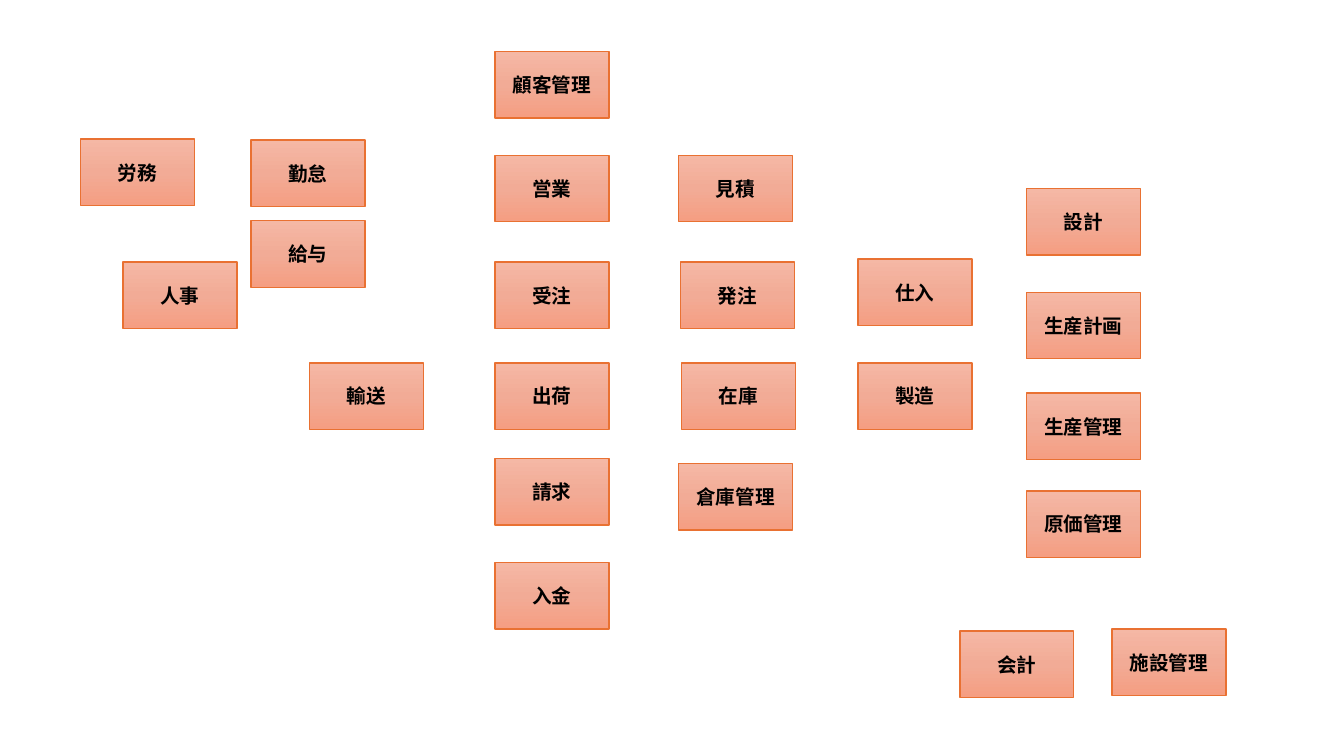
from copy import deepcopy

from lxml.etree import SubElement
from pptx import Presentation
from pptx.dml.color import RGBColor
from pptx.enum.shapes import MSO_SHAPE
from pptx.enum.text import MSO_ANCHOR, PP_ALIGN
from pptx.oxml.ns import qn
from pptx.util import Pt

SCALE = 9144
WIDE, HIGH = 113, 66
FONT = "Noto Sans CJK JP"
SHADES = ("F5B8A5", "F2AB96", "F59E82")

REGIONS = [
    (80, 138, [("労務", 0, 0), ("勤怠", 169, 1), ("給与", 169, 81), ("人事", 42, 122)]),
    (307, 360, [("輸送", 0, 0)]),
    (491, 51, [("顧客管理", 0, 0), ("営業", 0, 103), ("受注", 0, 209),
               ("出荷", 0, 309), ("請求", 0, 404), ("入金", 0, 507)]),
    (673, 154, [("見積", 0, 0), ("発注", 2, 106), ("在庫", 3, 206), ("倉庫管理", 0, 306)]),
    (851, 257, [("仕入", 0, 0), ("製造", 0, 103)]),
    (1018, 187, [("設計", 0, 0), ("生産計画", 0, 103), ("生産管理", 0, 203), ("原価管理", 0, 300)]),
    (952, 624, [("会計", 0, 2), ("施設管理", 151, 0)]),
]


def px(n):
    """Turn px into EMU."""
    return n * SCALE


def color(code):
    """Turn a hex string into a colour."""
    return RGBColor.from_string(code)


def shade(shape):
    """Fill a shape with the three-stop gradient from top to bottom."""
    shape.fill.gradient()
    shape.fill.gradient_angle = 270
    first, last = shape.element.spPr.iter(qn("a:gs"))
    middle = deepcopy(first)
    middle.set("pos", "50000")
    first.addnext(middle)
    for stop, code in zip(shape.fill.gradient_stops, SHADES):
        stop.color.rgb = color(code)


def write(shape, text, size=14, bold=True, ink="000000"):
    """Put centred text into a shape."""
    frame = shape.text_frame
    frame.word_wrap = True
    frame.vertical_anchor = MSO_ANCHOR.MIDDLE
    para = frame.paragraphs[0]
    para.alignment = PP_ALIGN.CENTER
    run = para.add_run()
    run.text = text
    font = run.font
    font.size, font.bold, font.name = Pt(size), bold, FONT
    font.color.rgb = color(ink)
    SubElement(run.font._element, qn("a:ea"), typeface=FONT)


def card(slide, left, top, text):
    """Draw one business function."""
    shape = slide.shapes.add_shape(MSO_SHAPE.RECTANGLE, px(left), px(top), px(WIDE), px(HIGH))
    shape.shadow.inherit = False
    shade(shape)
    shape.line.color.rgb = color("E97132")
    shape.line.width = Pt(1)
    write(shape, text)


def region(slide, left, top, cards):
    """Draw a group of cards offset from its top left corner."""
    for text, right, down in cards:
        card(slide, left + right, top + down, text)


def main():
    """Build the map of business functions."""
    deck = Presentation()
    deck.slide_width, deck.slide_height = px(1333), px(750)
    slide = deck.slides.add_slide(deck.slide_layouts[6])
    for left, top, cards in REGIONS:
        region(slide, left, top, cards)
    deck.save("out.pptx")


if __name__ == "__main__":
    main()
